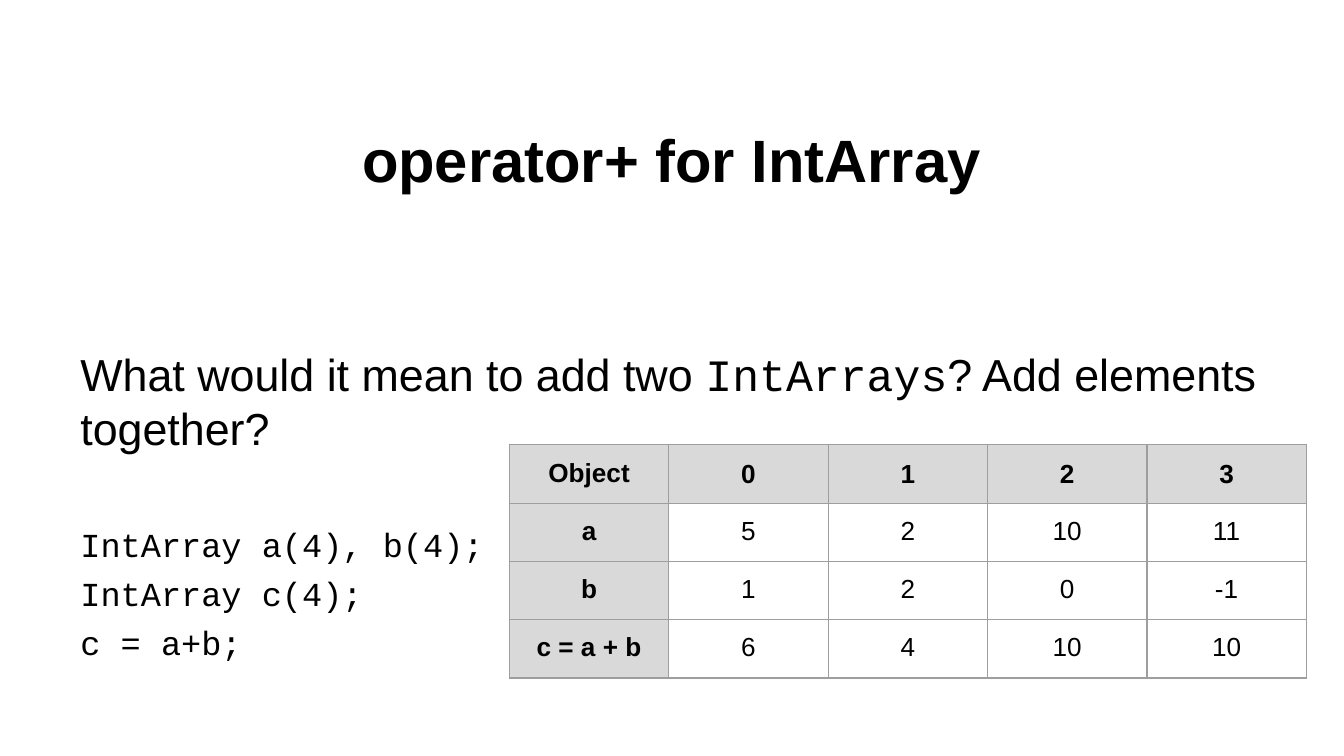
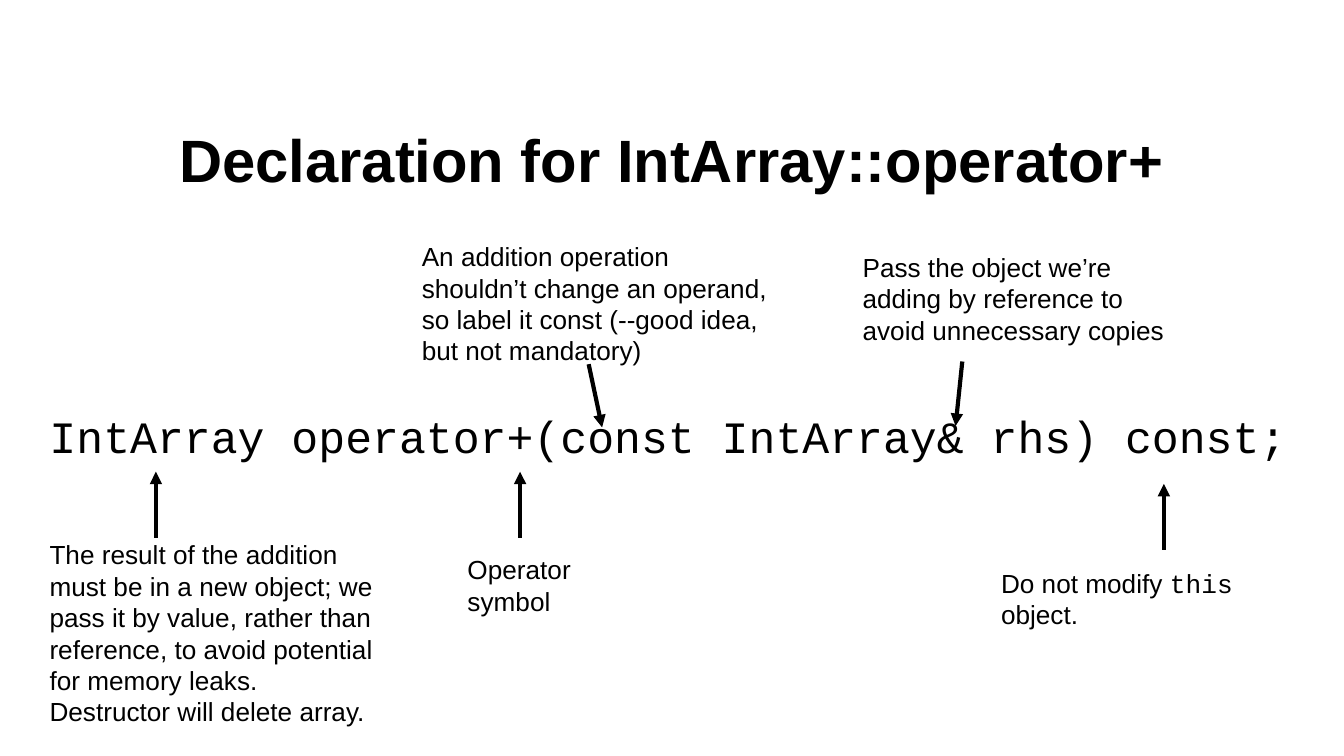
from lxml.etree import SubElement as Sub
from pptx import Presentation
from pptx.dml.color import RGBColor
from pptx.enum.shapes import MSO_CONNECTOR as Conn
from pptx.enum.text import MSO_ANCHOR as Anchor, PP_ALIGN as Align
from pptx.oxml import parse_xml
from pptx.oxml.ns import nsdecls, qn
from pptx.util import Pt

SCALE = 9144  # EMU in one px, at 100 px to the inch
PAD = 10
SANS, MONO = "Arial", "Courier New"
INK, GREY, RULE = "000000", "D9D9D9", "9E9E9E"
TITLE = (50, 74, 900, 88)
GAP = 4.8

GRID = [
    ["Object", "0", "1", "2", "3"],
    ["a", "5", "2", "10", "11"],
    ["b", "1", "2", "0", "-1"],
    ["c = a + b", "6", "4", "10", "10"],
]

# Box, text, arrow start from the box's corner, arrow run
NOTES = [
    ((735, 412, 253, 84), "Do not modify `this` object.", (131, -3), (0, -49)),
    ((632, 177, 253, 84),
     "Pass the object we’re adding by reference to avoid unnecessary copies",
     (84, 92), (-5, 48)),
    ((304, 169, 286, 84),
     "An addition operation shouldn’t change an operand, "
     "so label it const (--good idea, but not mandatory)",
     (134, 102), (10, 47)),
    ((27, 391, 269, 84),
     "The result of the addition must be in a new object; we pass it by value, "
     "rather than reference, to avoid potential for memory leaks. "
     "Destructor will delete array.",
     (89, 9), (0, -49)),
    ((338, 402, 98, 62), "Operator symbol", (49, -2), (0, -49)),
]


def px(*vals):
    return [round(v * SCALE) for v in vals]


def paint(hue):
    return RGBColor.from_string(hue)


def style(font, size, face=SANS, bold=False):
    font.size, font.name, font.bold = Pt(size), face, bold
    font.color.rgb = paint(INK)


def write(para, text, size, bold=False, align=Align.LEFT, gap=0):
    """Fill a paragraph; parts between backticks are set in the code font."""
    para.alignment, para.space_before = align, Pt(gap)
    for i, part in enumerate(text.split("`")):
        if part:
            run = para.add_run()
            run.text = part
            style(run.font, size, MONO if i % 2 else SANS, bold)


def inset(item):
    (item.margin_left, item.margin_top,
     item.margin_right, item.margin_bottom) = px(*[PAD] * 4)


def add_text(slide, box, lines, anchor=Anchor.TOP, **look):
    """Add a text box; each line is (text, size, space before)."""
    frame = slide.shapes.add_textbox(*px(*box)).text_frame
    frame.word_wrap, frame.vertical_anchor = True, anchor
    inset(frame)
    for i, (text, size, gap) in enumerate(lines):
        para = frame.add_paragraph() if i else frame.paragraphs[0]
        write(para, text, size, gap=gap, **look)


def add_page(deck, title):
    slide = deck.slides.add_slide(deck.slide_layouts[6])
    add_text(slide, TITLE, [(title, 32, 0)], Anchor.MIDDLE,
             bold=True, align=Align.CENTER)
    return slide


def edge(cell):
    props = cell._tc.get_or_add_tcPr()
    for i, side in enumerate(("lnL", "lnR", "lnT", "lnB")):
        props.insert(i, parse_xml(
            f'<a:{side} {nsdecls("a")} w="{Pt(0.75)}"><a:solidFill>'
            f'<a:srgbClr val="{RULE}"/></a:solidFill></a:{side}>'))


def add_grid(slide, box, rows):
    table = slide.shapes.add_table(len(rows), len(rows[0]), *px(*box)).table
    table.first_row = table.horz_banding = False
    for r, row in enumerate(rows):
        for c, text in enumerate(row):
            cell = table.cell(r, c)
            head = r == 0 or c == 0
            inset(cell)
            if r == 0 and c > 0:
                cell.vertical_anchor = Anchor.MIDDLE
            write(cell.text_frame.paragraphs[0], text, 14, head, Align.CENTER)
            if head:
                cell.fill.solid()
                cell.fill.fore_color.rgb = paint(GREY)
            else:
                cell.fill.background()
            edge(cell)


def add_arrow(slide, x, y, dx, dy):
    line = slide.shapes.add_connector(Conn.STRAIGHT, *px(x, y, x + dx, y + dy))
    line.line.width = Pt(2.25)
    line.line.color.rgb = paint(INK)
    Sub(line.line._get_or_add_ln(), qn("a:tailEnd"), type="triangle")
    Sub(line._element.spPr, qn("a:effectLst"))


def add_note(slide, box, text, start, run):
    add_text(slide, box, [(text, 14, 0)])
    add_arrow(slide, box[0] + start[0], box[1] + start[1], *run)


def sum_page(deck):
    slide = add_page(deck, "operator+ for IntArray")
    add_text(slide, (50, 248, 900, 255), [
        ("What would it mean to add two `IntArrays`? Add elements together?",
         24, GAP),
        ("`IntArray a(4), b(4);`", 18, 37.2),
        ("`IntArray c(4);`", 18, GAP),
        ("`c = a+b;`", 18, GAP),
    ])
    add_grid(slide, (379, 331, 593, 168), GRID)


def sign_page(deck):
    slide = add_page(deck, "Declaration for IntArray::operator+")
    code = "`IntArray operator+(const IntArray& rhs) const;`"
    add_text(slide, (27, 294, 944, 68), [(code, 24, GAP)])
    for note in NOTES:
        add_note(slide, *note)


def main():
    deck = Presentation()
    deck.slide_width, deck.slide_height = px(1000, 562.5)
    sum_page(deck)
    sign_page(deck)
    deck.save("out.pptx")


if __name__ == "__main__":
    main()
